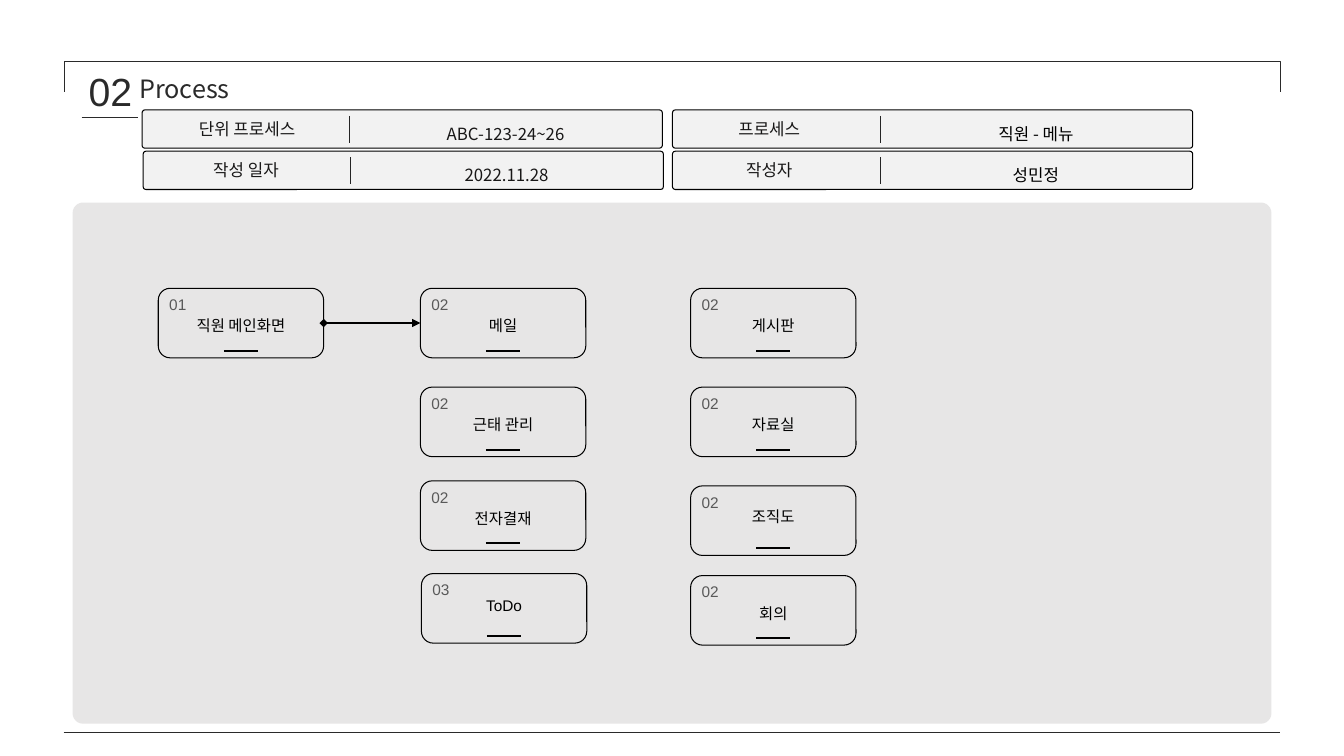
from dataclasses import dataclass

from lxml import etree
from pptx import Presentation
from pptx.dml.color import RGBColor
from pptx.enum.shapes import MSO_CONNECTOR, MSO_SHAPE
from pptx.enum.text import MSO_AUTO_SIZE, PP_ALIGN
from pptx.oxml.ns import qn
from pptx.util import Inches, Pt

STRAIGHT = MSO_CONNECTOR.STRAIGHT
ROUNDED = MSO_SHAPE.ROUNDED_RECTANGLE
BRACKET = MSO_SHAPE.RIGHT_BRACKET
LEFT, CENTER = PP_ALIGN.LEFT, PP_ALIGN.CENTER
GROW = MSO_AUTO_SIZE.SHAPE_TO_FIT_TEXT
LEFT_SIDE, RIGHT_SIDE = 1, 3


@dataclass(frozen=True)
class Theme:
    latin: str = "Arial"
    korean: str = "Noto Sans CJK KR"
    black: str = "000000"
    ink: str = "2A2A2A"
    field_text: str = "181717"
    divider: str = "242424"
    number: str = "595959"
    panel: str = "E7E6E6"
    field: str = "F2F2F2"
    title_number_size: int = 28
    title_size: int = 18
    field_size: int = 12
    card_size: int = 11
    thin: float = 0.75
    thick: float = 1.5


THEME = Theme()
FIELD_WIDTH, FIELD_HEIGHT = 5.16, 0.38
CARD_WIDTH, CARD_HEIGHT = 1.64, 0.69

# left, top, label, label left, label width, value, value colour
FIELDS = [
    (1.42, 1.5, "작성 일자", 1.89, 1.1, "2022.11.28", THEME.field_text),
    (1.41, 1.09, "단위 프로세스 ", 1.64, 1.66, "ABC-123-24~26", THEME.field_text),
    (6.67, 1.5, "작성자", 7.08, 1.1, "성민정", THEME.black),
    (6.67, 1.09, "프로세스", 7.08, 1.1, "직원 - 메뉴", THEME.black),
]

# left, top, number, label, label offset from the card's top
CARDS = [
    (1.57, 2.86, "01", "직원 메인화면", 0.23),
    (4.17, 2.86, "02", "메일", 0.23),
    (4.17, 3.84, "02", "근태 관리", 0.23),
    (4.17, 4.77, "02", "전자결재", 0.23),
    (4.18, 5.69, "03", "ToDo", 0.17),
    (6.85, 2.86, "02", "게시판", 0.23),
    (6.85, 3.84, "02", "자료실", 0.23),
    (6.85, 4.82, "02", "조직도", 0.16),
    (6.85, 5.71, "02", "회의", 0.23),
]


def add_box(page, kind, left, top, width, height, corner, fill=None, line=None):
    box = page.shapes.add_shape(kind, Inches(left), Inches(top), Inches(width), Inches(height))
    box.shadow.inherit = False
    box.adjustments[0] = corner
    if fill:
        box.fill.solid()
        box.fill.fore_color.rgb = RGBColor.from_string(fill)
    else:
        box.fill.background()
    if line:
        box.line.color.rgb = RGBColor.from_string(line)
        box.line.width = Pt(THEME.thin)
    else:
        box.line.fill.background()
    return box


def add_line(page, start, end, color, weight):
    line = page.shapes.add_connector(STRAIGHT, *(Inches(value) for value in start + end))
    line.line.color.rgb = RGBColor.from_string(color)
    line.line.width = Pt(weight)
    etree.SubElement(line._element.spPr, qn("a:effectLst"))
    return line


def add_text(page, text, left, top, width, height, size, color, font=THEME.latin,
             align=LEFT, spacing=1.0, insets=(0.1, 0.05, 0.1, 0.05)):
    box = page.shapes.add_textbox(Inches(left), Inches(top), Inches(width), Inches(height))
    frame = box.text_frame
    frame.word_wrap = True
    frame.auto_size = GROW
    (frame.margin_left, frame.margin_top,
     frame.margin_right, frame.margin_bottom) = (Inches(inset) for inset in insets)
    frame.text = text
    para = frame.paragraphs[0]
    para.alignment = align
    para.line_spacing = spacing
    span = para.runs[0]
    span.font.name = font
    span.font.size = Pt(size)
    span.font.color.rgb = RGBColor.from_string(color)
    # Korean glyphs take their own typeface
    etree.SubElement(span.font._element, qn("a:ea"), typeface=THEME.korean)


def add_field(page, left, top, label, label_left, label_width, value, value_color):
    add_box(page, ROUNDED, left, top, FIELD_WIDTH, FIELD_HEIGHT, 0.075, THEME.field, THEME.black)
    add_text(page, label, label_left, top + 0.01, label_width, 0.33, THEME.field_size,
             THEME.field_text, THEME.korean, CENTER, 1.14)
    divider = left + 2.06
    add_line(page, (divider, top + 0.06), (divider, top + 0.33), THEME.divider, THEME.thin)
    add_text(page, value, left + 2.19, top + 0.03, 2.83, 0.36, THEME.field_size,
             value_color, THEME.korean, CENTER, 1.3)


def add_card(page, left, top, number, label, label_offset):
    card = add_box(page, ROUNDED, left, top, CARD_WIDTH, CARD_HEIGHT, 0.17, line=THEME.black)
    add_text(page, number, left + 0.01, top + 0.02, 0.61, 0.29, THEME.card_size, THEME.number)
    add_line(page, (left + 0.65, top + 0.62), (left + 0.99, top + 0.62), THEME.black, THEME.thick)
    add_text(page, label, left, top + label_offset, CARD_WIDTH, 0.29, THEME.card_size,
             THEME.black, align=CENTER)
    return card


def add_flow(page, source, target):
    flow = add_line(page, (3.21, 3.2), (4.17, 3.2), THEME.black, THEME.thick)
    flow.begin_connect(source, RIGHT_SIDE)
    flow.end_connect(target, LEFT_SIDE)
    outline = flow.line._get_or_add_ln()
    etree.SubElement(outline, qn("a:headEnd"), type="diamond")
    etree.SubElement(outline, qn("a:tailEnd"), type="triangle")


def main():
    deck = Presentation()
    deck.slide_width, deck.slide_height = Inches(13.33), Inches(7.5)
    page = deck.slides.add_slide(deck.slide_layouts[6])

    # Panel and page frame
    add_box(page, ROUNDED, 0.72, 2.01, 11.89, 5.17, 0.02, THEME.panel)
    frame = add_box(page, BRACKET, 6.52, -5.27, 0.3, 12.06, 0, line=THEME.ink)
    frame.rotation = 270
    add_line(page, (0.63, 7.27), (12.7, 7.27), THEME.ink, THEME.thin)

    # Document fields
    for field in FIELDS:
        add_field(page, *field)

    # Title
    add_text(page, "Process", 1.34, 0.71, 1.26, 0.34, THEME.title_size, THEME.ink,
             THEME.korean, insets=(0.04, 0.02, 0.12, 0.02))
    add_text(page, "02", 0.88, 0.67, 0.49, 0.79, THEME.title_number_size, THEME.ink,
             insets=(0, 0, 0, 0))
    add_line(page, (0.81, 1.17), (1.37, 1.17), THEME.ink, THEME.thin)

    # Process cards and the flow from the main screen
    cards = [add_card(page, *card) for card in CARDS]
    add_flow(page, cards[0], cards[1])

    deck.save("out.pptx")


if __name__ == "__main__":
    main()
